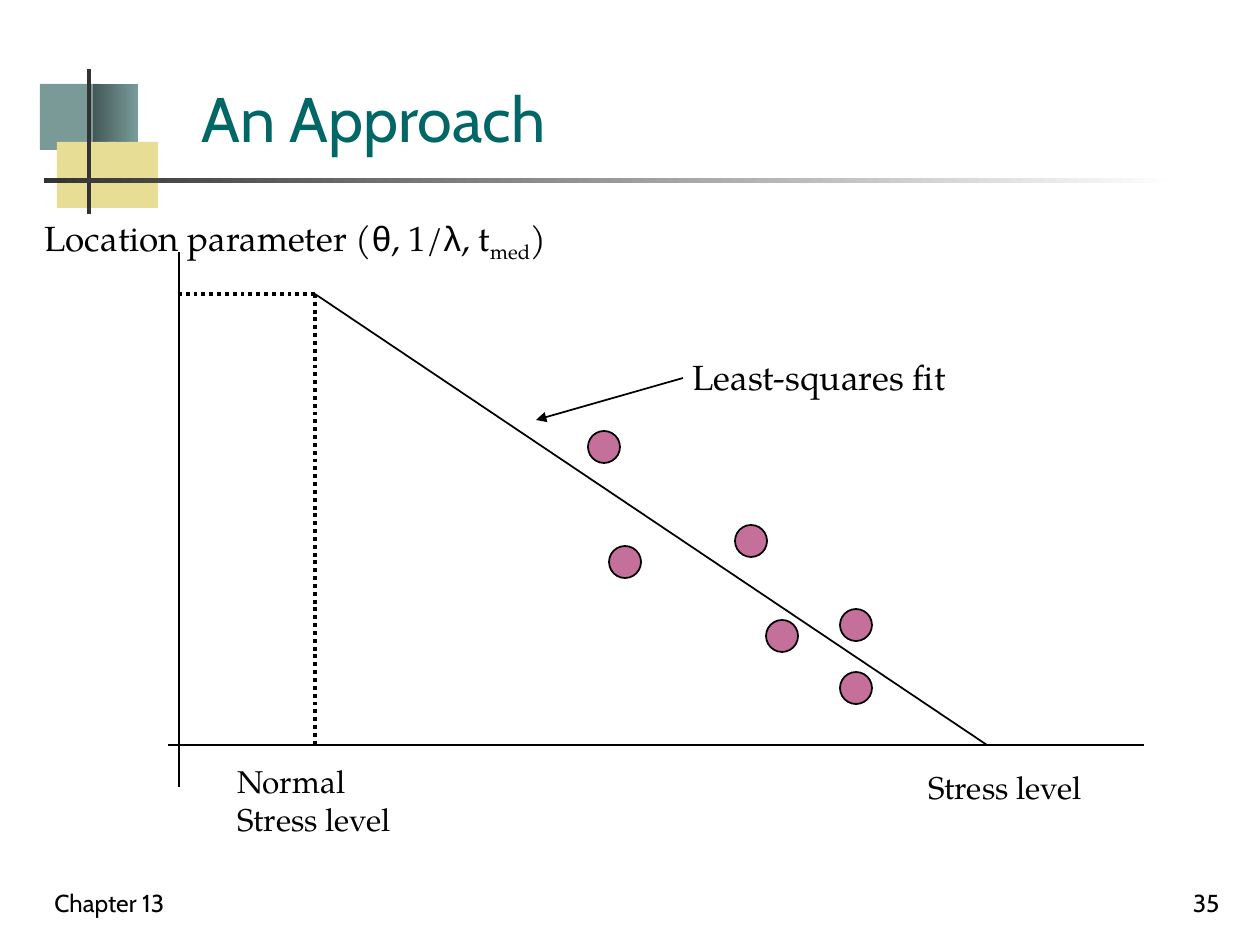
"""Build the slide on fitting a line of life against stress level."""
from pptx import Presentation
from pptx.dml.color import RGBColor
from pptx.enum.dml import MSO_LINE
from pptx.enum.shapes import MSO_CONNECTOR, MSO_SHAPE
from pptx.enum.text import MSO_ANCHOR, MSO_AUTO_SIZE, PP_ALIGN
from pptx.oxml.ns import qn
from pptx.util import Emu, Pt
from lxml.etree import SubElement

SCALE = 914400 / 126
BLACK = RGBColor(0, 0, 0)
WHITE = RGBColor(255, 255, 255)
DARK = RGBColor(0x33, 0x33, 0x33)
TEAL = RGBColor(0x00, 0x66, 0x66)
SAGE = RGBColor(0x7A, 0x9A, 0x98)
MOSS = RGBColor(0x43, 0x59, 0x58)
MIST = RGBColor(0x78, 0x9C, 0x9A)
SAND = RGBColor(0xE7, 0xDD, 0x95)
PINK = RGBColor(0xC4, 0x70, 0x9A)
SANS, SERIF, GREEK = "Cabin", "TeX Gyre Pagella", "Arial"

DECOR = [
    ((40, 84, 60, 66), [SAGE]),
    ((93, 84, 45, 66), [MOSS, MIST]),
    ((57, 142, 58, 66), [SAND]),
    ((108, 142, 50, 66), [SAND]),
    ((87, 69, 4, 145), [DARK]),
    ((44, 178, 1134, 5), [DARK, WHITE]),
]
LEFT, BASE = 179, 745
NORMAL, PEAK = 315, 294
LINES = [
    ((LEFT, 252), (LEFT, 787), {}),
    ((168, BASE), (1144, BASE), {}),
    ((987, BASE), (NORMAL, PEAK), {}),
    ((NORMAL, PEAK), (NORMAL, BASE), {"dots": True}),
    ((NORMAL, PEAK), (LEFT, PEAK), {"dots": True}),
    ((683, 378), (536, 420), {"arrow": True}),
]
DOT = 32
POINTS = [(588, 431), (609, 546), (735, 525), (766, 620), (840, 609), (840, 672)]
SYMBOLS = [
    ("Location parameter (", SERIF, 0), ("θ", GREEK, 0), (", 1/", SERIF, 0),
    ("λ", GREEK, 0), (", t", SERIF, 0), ("med", SERIF, -25), (")", SERIF, 0),
]
FOOT = {"size": 14, "face": SANS, "low": True, "wrap": True}
TEXTS = [
    (["An Approach"], (189, 53, 979, 108),
     {"size": 36, "face": SANS, "color": TEAL, "low": True, "wrap": True}),
    (["Chapter 13"], (42, 861, 262, 63), FOOT),
    (["35"], (970, 861, 262, 63), {**FOOT, "align": PP_ALIGN.RIGHT}),
    (["Stress level"], (916, 762, 193, 50), {}),
    ([SYMBOLS], (32, 210, 548, 60), {"size": 20}),
    (["Normal", "Stress level"], (225, 756, 193, 88), {}),
    (["Least-squares fit"], (680, 349, 300, 55), {"size": 20}),
]


def px(*nums):
    return [Emu(round(n * SCALE)) for n in nums]


def text(slide, lines, box, size=18, face=SERIF, color=BLACK,
         align=PP_ALIGN.LEFT, low=False, wrap=False):
    frame = slide.shapes.add_textbox(*px(*box)).text_frame
    frame.word_wrap = wrap
    frame.auto_size = MSO_AUTO_SIZE.NONE if wrap else MSO_AUTO_SIZE.SHAPE_TO_FIT_TEXT
    frame.vertical_anchor = MSO_ANCHOR.BOTTOM if low else MSO_ANCHOR.TOP
    for i, line in enumerate(lines):
        para = frame.add_paragraph() if i else frame.paragraphs[0]
        para.alignment = align
        runs = [(line, face, 0)] if isinstance(line, str) else line
        for words, name, shift in runs:
            run = para.add_run()
            run.text = words
            run.font.size = Pt(size)
            run.font.name = name
            run.font.color.rgb = color
            if shift:
                run.font._element.set("baseline", str(shift * 1000))


def shape(slide, kind, box, colors, edge=None):
    item = slide.shapes.add_shape(kind, *px(*box))
    item.shadow.inherit = False
    if len(colors) > 1:
        item.fill.gradient()
        item.fill.gradient_angle = 0
        for stop, color in zip(item.fill.gradient_stops, colors):
            stop.color.rgb = color
    else:
        item.fill.solid()
        item.fill.fore_color.rgb = colors[0]
    if edge is None:
        item.line.fill.background()
    else:
        item.line.color.rgb = edge
        item.line.width = Pt(1)


def line(slide, start, end, dots=False, arrow=False):
    item = slide.shapes.add_connector(MSO_CONNECTOR.STRAIGHT, *px(*start, *end))
    item.line.color.rgb = BLACK
    item.line.width = Pt(2.25 if dots else 1)
    if dots:
        item.line.dash_style = MSO_LINE.ROUND_DOT
    props = item.element.spPr
    if arrow:
        SubElement(props.find(qn("a:ln")), qn("a:tailEnd"), type="triangle")
    SubElement(props, qn("a:effectLst"))


def main():
    deck = Presentation()
    deck.slide_width, deck.slide_height = px(1260, 945)
    slide = deck.slides.add_slide(deck.slide_layouts[6])
    for box, colors in DECOR:
        shape(slide, MSO_SHAPE.RECTANGLE, box, colors)
    for start, end, form in LINES:
        line(slide, start, end, **form)
    for left, top in POINTS:
        shape(slide, MSO_SHAPE.OVAL, (left, top, DOT, DOT), [PINK], BLACK)
    for lines, box, form in TEXTS:
        text(slide, lines, box, **form)
    deck.save("out.pptx")


if __name__ == "__main__":
    main()
